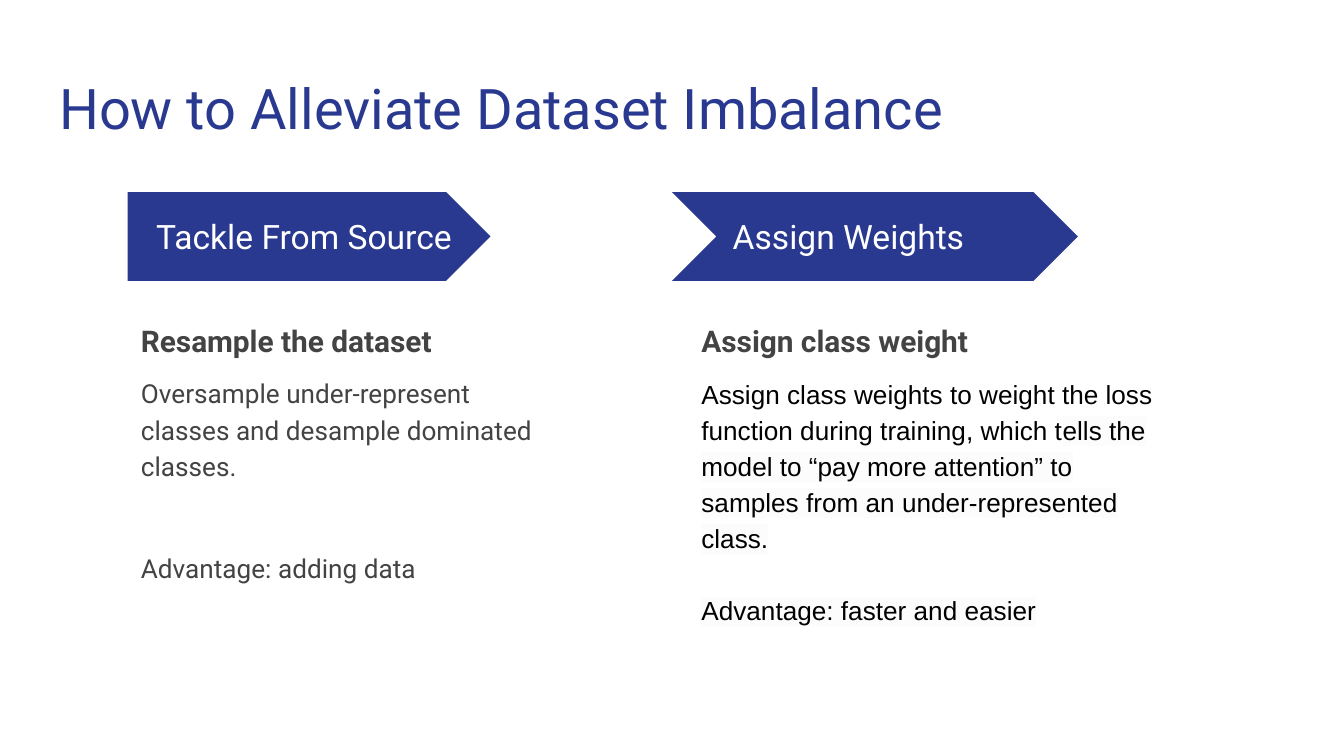
from lxml import etree
from pptx import Presentation
from pptx.dml.color import RGBColor
from pptx.enum.shapes import MSO_SHAPE
from pptx.enum.text import MSO_ANCHOR
from pptx.oxml.ns import qn
from pptx.util import Inches, Pt

CELL = 0.1  # grid of 100 columns by 56.25 rows (16:9), in inches


def color(value):
    return RGBColor.from_string(value)


def cells(*counts):
    return [Inches(count * CELL) for count in counts]


class SlideBuilder:
    blue, white, gray, black = "2A3990", "FFFFFF", "434343", "000000"
    highlight = "FCFCFC"

    def __init__(self, page):
        self.page = page
        page.background.fill.solid()
        page.background.fill.fore_color.rgb = color(self.white)

    def text_box(self, column, row, width, height, anchor=MSO_ANCHOR.TOP):
        frame = self.page.shapes.add_textbox(*cells(column, row, width, height)).text_frame
        frame.word_wrap = True
        frame.vertical_anchor = anchor
        frame.margin_left = frame.margin_right = Inches(0.1)
        frame.margin_top = frame.margin_bottom = Inches(0.1)
        return frame

    def span(self, para, text, size, shade, font="Roboto", bold=False, marked=False):
        run = para.add_run()
        run.text = text
        run.font.size = Pt(size)
        run.font.name = font
        run.font.bold = bold
        run.font.color.rgb = color(shade)
        if marked:
            mark = etree.Element(qn("a:highlight"))
            etree.SubElement(mark, qn("a:srgbClr"), val=self.highlight)
            run.font._element.find(qn("a:solidFill")).addnext(mark)

    def line(self, column, row, width, height, text, size, shade, anchor=MSO_ANCHOR.TOP):
        frame = self.text_box(column, row, width, height, anchor)
        self.span(frame.paragraphs[0], text, size, shade)

    def arrow(self, kind, column, width, label, label_column):
        shape = self.page.shapes.add_shape(kind, *cells(column, 14.3, width, 6.6))
        shape.adjustments[0] = 0.5
        shape.shadow.inherit = False
        shape.fill.solid()
        shape.fill.fore_color.rgb = color(self.blue)
        shape.line.fill.background()
        self.line(label_column, 15.9, 24.7, 3.4, label, 18, self.white, MSO_ANCHOR.MIDDLE)

    def details(self, column, width, height, heading, paragraphs, shade, font):
        """Add a bold heading, then paragraphs of (space before, [(text, marked)])."""
        frame = self.text_box(column, 22.6, width, height)
        para = frame.paragraphs[0]
        para.line_spacing = 1.15
        self.span(para, heading, 16, self.gray, bold=True)
        for space, spans in paragraphs:
            para = frame.add_paragraph()
            para.line_spacing = 1.15
            para.space_before = Pt(space)
            for text, marked in spans:
                self.span(para, text, 14, shade, font, marked=marked)


def main():
    deck = Presentation()
    deck.slide_width, deck.slide_height = cells(100, 56.25)
    slide = SlideBuilder(deck.slides.add_slide(deck.slide_layouts[6]))

    # Title
    slide.line(3.42, 4.5, 93.2, 6.6, "How to Alleviate Dataset Imbalance", 30, slide.blue)

    # Left: work on the data
    slide.arrow(MSO_SHAPE.PENTAGON, 9.5, 27, "Tackle From Source", 10.64)
    slide.details(9.5, 33.3, 29, "Resample the dataset", [
        (8, [("Oversample under-represent classes and desample dominated classes.", False)]),
        (35.4, [("Advantage: adding data", False)]),
    ], slide.gray, "Roboto")

    # Right: work on the loss
    slide.arrow(MSO_SHAPE.CHEVRON, 50, 30.2, "Assign Weights", 53.54)
    slide.details(51.2, 36.2, 30.2, "Assign class weight", [
        (8, [("Assign class weights to weight the loss function during training, which t", False),
             ("ells the model to “pay more attention” to samples from an "
              "under-represented class.", True)]),
        (19.3, [("Advantage: faster and easier", True)]),
    ], slide.black, "Arial")

    deck.save("out.pptx")


if __name__ == "__main__":
    main()
